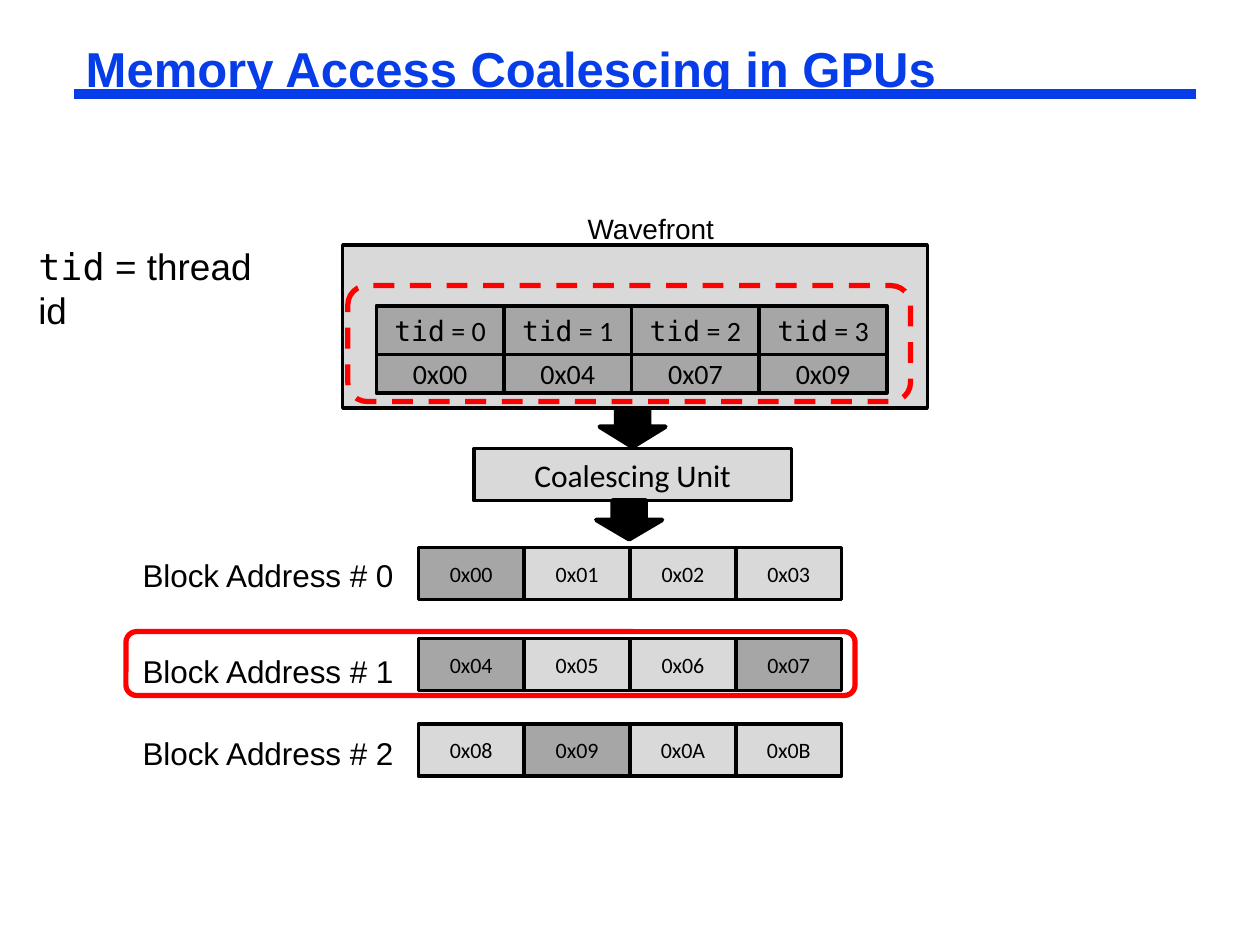
from dataclasses import dataclass

from lxml.etree import SubElement
from pptx import Presentation
from pptx.dml.color import RGBColor
from pptx.enum.dml import MSO_LINE
from pptx.enum.shapes import MSO_CONNECTOR, MSO_SHAPE
from pptx.enum.text import MSO_ANCHOR, PP_ALIGN
from pptx.oxml.ns import qn
from pptx.shapes.autoshape import Shape
from pptx.slide import Slide
from pptx.text.text import _Paragraph
from pptx.util import Inches, Pt

BLUE, RED, BLACK = "063DE8", "FF0000", "000000"
LIGHT, DARK = "D9D9D9", "A6A6A6"
SANS, BODY, MONO = "Arial", "Calibri", "DejaVu Sans Mono"
SLIDE_WIDTH = 7.5
SLIDE_HEIGHT = SLIDE_WIDTH * 3 / 4


@dataclass
class Span:
    text: str
    font: str


@dataclass
class Area:
    left: float
    top: float
    width: float
    height: float

    def lengths(self) -> list[int]:
        return [Inches(v) for v in (self.left, self.top, self.width, self.height)]


@dataclass
class Block:
    label: str
    label_top: float
    top: float
    addresses: list[str]


THREAD_ADDRESSES = ["0x00", "0x04", "0x07", "0x09"]
BLOCKS = [
    Block("Block Address # 0", 3.26, 3.26, ["0x00", "0x01", "0x02", "0x03"]),
    Block("Block Address # 1", 3.83, 3.8, ["0x04", "0x05", "0x06", "0x07"]),
    Block("Block Address # 2", 4.32, 4.31, ["0x08", "0x09", "0x0A", "0x0B"]),
]


def color(value: str) -> RGBColor:
    return RGBColor.from_string(value)


def write(para: _Paragraph, spans: list[Span], size: float) -> None:
    for span in spans:
        run = para.add_run()
        run.text = span.text
        run.font.name = span.font
        run.font.size = Pt(size)
        run.font.color.rgb = color(BLACK)


def add_box(page: Slide, kind: MSO_SHAPE, area: Area, fill: str | None,
            line: str = BLACK, weight: float = 1.5) -> Shape:
    box = page.shapes.add_shape(kind, *area.lengths())
    box.shadow.inherit = False
    if fill:
        box.fill.solid()
        box.fill.fore_color.rgb = color(fill)
    else:
        box.fill.background()
    box.line.color.rgb = color(line)
    box.line.width = Pt(weight)
    return box


def add_cell(page: Slide, area: Area, fill: str, spans: list[Span], size: float) -> None:
    frame = add_box(page, MSO_SHAPE.RECTANGLE, area, fill).text_frame
    frame.margin_left = frame.margin_right = Inches(0.02)
    frame.margin_top = frame.margin_bottom = Inches(0.01)
    frame.vertical_anchor = MSO_ANCHOR.MIDDLE
    para = frame.paragraphs[0]
    para.alignment = PP_ALIGN.CENTER
    write(para, spans, size)


def add_label(page: Slide, area: Area, spans: list[Span], size: float,
              wrap: bool = False) -> None:
    frame = page.shapes.add_textbox(*area.lengths()).text_frame
    frame.word_wrap = wrap
    write(frame.paragraphs[0], spans, size)


def add_title(page: Slide) -> None:
    rule = page.shapes.add_connector(
        MSO_CONNECTOR.STRAIGHT, Inches(0.44), Inches(0.56), Inches(7.12), Inches(0.56))
    rule.line.color.rgb = color(BLUE)
    rule.line.width = Pt(4.5)
    SubElement(rule._element.spPr, qn("a:effectLst"))

    title = page.shapes.title
    title.left, title.top, title.width, title.height = Area(0.44, 0.25, 6.69, 0.36).lengths()
    frame = title.text_frame
    frame.text = "Memory Access Coalescing in GPUs"
    frame.margin_left = frame.margin_right = Inches(0.07)
    frame.margin_top = frame.margin_bottom = Inches(0.03)
    frame.vertical_anchor = MSO_ANCHOR.BOTTOM
    para = frame.paragraphs[0]
    para.alignment = PP_ALIGN.LEFT
    para.line_spacing = 0.87
    font = para.runs[0].font
    font.name, font.size, font.bold = SANS, Pt(21), True
    font.color.rgb = color(BLUE)


def add_wavefront(page: Slide) -> None:
    add_box(page, MSO_SHAPE.RECTANGLE, Area(2.04, 1.46, 3.48, 0.97), LIGHT)
    outline = add_box(page, MSO_SHAPE.ROUNDED_RECTANGLE,
                      Area(2.07, 1.7, 3.35, 0.69), None, RED, 2.25)
    outline.line.dash_style = MSO_LINE.DASH
    for thread, address in enumerate(THREAD_ADDRESSES):
        left = 2.24 + 0.76 * thread
        add_cell(page, Area(left, 2.11, 0.76, 0.23), DARK, [Span(address, BODY)], 12)
        add_cell(page, Area(left, 1.82, 0.76, 0.29), DARK,
                 [Span("tid", MONO), Span(f" = {thread}", BODY)], 12)
    add_label(page, Area(3.4, 1.21, 0.96, 0.3), [Span("Wavefront", SANS)], 12)
    add_label(page, Area(0.13, 1.4, 1.6, 0.37),
              [Span("tid", MONO), Span(" = thread id", SANS)], 15.8, wrap=True)


def add_block(page: Slide, block: Block) -> None:
    for column, address in enumerate(block.addresses):
        fill = DARK if address in THREAD_ADDRESSES else LIGHT
        add_cell(page, Area(2.49 + 0.63 * column, block.top, 0.63, 0.31), fill,
                 [Span(address, BODY)], 9.4)
    add_label(page, Area(0.75, block.label_top, 1.72, 0.33), [Span(block.label, SANS)], 13.5)


def main() -> None:
    deck = Presentation()
    deck.slide_width, deck.slide_height = Inches(SLIDE_WIDTH), Inches(SLIDE_HEIGHT)
    page = deck.slides.add_slide(deck.slide_layouts[5])
    add_title(page)

    # Flow from the wavefront through the coalescing unit
    add_box(page, MSO_SHAPE.DOWN_ARROW, Area(3.57, 2.42, 0.39, 0.24), BLACK, weight=2)
    add_wavefront(page)
    add_cell(page, Area(2.82, 2.67, 1.89, 0.31), LIGHT, [Span("Coalescing Unit", BODY)], 13.5)
    add_box(page, MSO_SHAPE.DOWN_ARROW, Area(3.55, 2.98, 0.39, 0.23), BLACK, weight=2)

    # Memory blocks, with the shared block outlined
    for block in BLOCKS:
        add_block(page, block)
    add_box(page, MSO_SHAPE.ROUNDED_RECTANGLE, Area(0.75, 3.76, 4.34, 0.38), None, RED, 2.25)

    deck.save("out.pptx")


if __name__ == "__main__":
    main()
